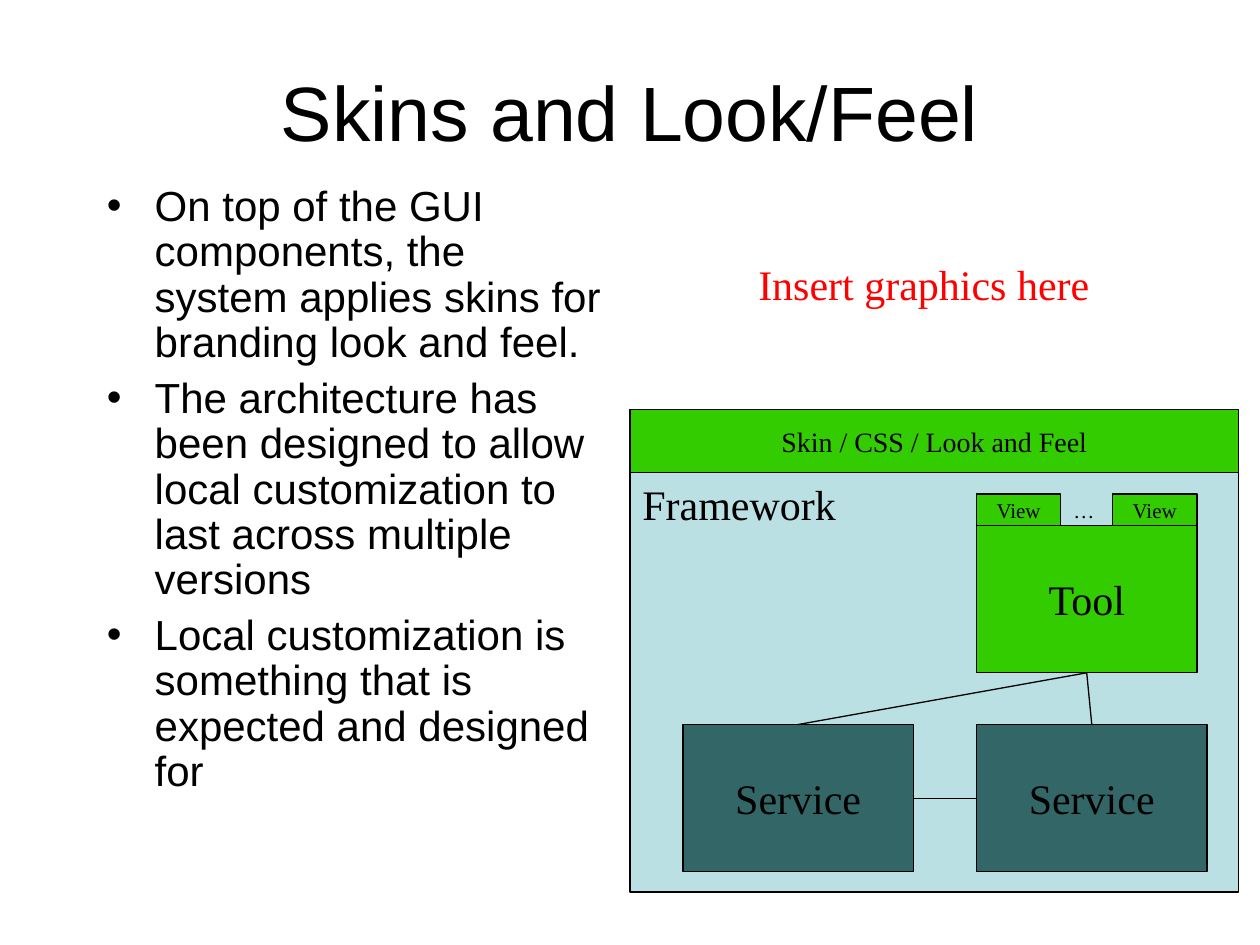
import pptx
import pptx.dml.color
import pptx.enum.shapes
import pptx.enum.text
import pptx.oxml
import pptx.oxml.ns
import pptx.util
from dataclasses import dataclass
from pptx.util import Inches


@dataclass(frozen=True)
class Theme:
    ink: str = "000000"
    note: str = "FF0000"
    framework: str = "BBE0E3"
    service: str = "336666"
    tool: str = "33CC00"
    sans: str = "Arial"
    serif: str = "Times New Roman"
    title: int = 44
    body: int = 24
    skin: int = 16
    small: int = 12
    line: float = 0.75


theme = Theme()
color = pptx.dml.color.RGBColor.from_string
align = pptx.enum.text.PP_ALIGN
anchor = pptx.enum.text.MSO_ANCHOR

deck = pptx.Presentation()
deck.slide_width, deck.slide_height = Inches(10), Inches(7.5)
page = deck.slides.add_slide(deck.slide_layouts[5])


def write(para, text, size, font=theme.serif, ink=theme.ink, alignment=align.CENTER):
    para.alignment = alignment
    span = para.add_run()
    span.text = text
    span.font.size = pptx.util.Pt(size)
    span.font.name = font
    span.font.color.rgb = color(ink)


def add_block(text, left, top, width, height, fill, size=theme.body,
              alignment=align.CENTER, vertical=anchor.MIDDLE):
    box = page.shapes.add_shape(
        pptx.enum.shapes.MSO_SHAPE.RECTANGLE,
        Inches(left), Inches(top), Inches(width), Inches(height))
    box.shadow.inherit = False
    box.fill.solid()
    box.fill.fore_color.rgb = color(fill)
    box.line.color.rgb = color(theme.ink)
    box.line.width = pptx.util.Pt(theme.line)
    box.text_frame.word_wrap = False
    box.text_frame.vertical_anchor = vertical
    write(box.text_frame.paragraphs[0], text, size, alignment=alignment)
    return box


# Title
title = page.shapes.title
title.left, title.top = Inches(0.75), Inches(0.25)
title.width, title.height = Inches(8.5), Inches(1.25)
title.text_frame.vertical_anchor = anchor.MIDDLE
write(title.text_frame.paragraphs[0], "Skins and Look/Feel", theme.title, theme.sans)

# Bulleted points
points = [
    "On top of the GUI components, the system applies skins for branding look and feel.",
    "The architecture has been designed to allow local customization to last across"
    " multiple versions",
    "Local customization is something that is expected and designed for",
]
body = page.shapes.add_textbox(Inches(0.75), Inches(1.42), Inches(4.17), Inches(5.25))
body.text_frame.word_wrap = True
for index, point in enumerate(points):
    para = body.text_frame.paragraphs[0] if index == 0 else body.text_frame.add_paragraph()
    properties = para._p.get_or_add_pPr()
    properties.set("marL", str(Inches(0.38)))
    properties.set("indent", str(-Inches(0.38)))
    properties.append(pptx.oxml.parse_xml(
        f'<a:buFont {pptx.oxml.ns.nsdecls("a")} typeface="{theme.sans}"/>'))
    properties.append(pptx.oxml.parse_xml(
        f'<a:buChar {pptx.oxml.ns.nsdecls("a")} char="•"/>'))
    para.line_spacing = 0.9
    para.space_before = pptx.util.Pt(6 if index else 0)
    write(para, point, theme.body, theme.sans, alignment=align.LEFT)

# Framework with its skin on top
add_block("Framework", 5, 3.75, 4.83, 3.33, theme.framework,
          alignment=align.LEFT, vertical=anchor.TOP)
add_block("Skin / CSS / Look and Feel", 5, 3.25, 4.83, 0.5, theme.tool, theme.skin)

# Services, tool and its views
services = [add_block("Service", left, 5.75, 1.83, 1.17, theme.service)
            for left in (5.42, 7.75)]
tool = add_block("Tool", 7.75, 4.17, 1.75, 1.17, theme.tool)
for left in (7.75, 8.83):
    add_block("View", left, 3.92, 0.67, 0.25, theme.tool, theme.small)
more = page.shapes.add_textbox(Inches(8.42), Inches(3.92), Inches(0.33), Inches(0.25))
more.text_frame.word_wrap = False
more.text_frame.vertical_anchor = anchor.MIDDLE
write(more.text_frame.paragraphs[0], "…", theme.small)

# Links between the tool and the services
links = [(tool, 2, services[0], 0), (tool, 2, services[1], 0),
         (services[0], 3, services[1], 1)]
for start, start_side, end, end_side in links:
    link = page.shapes.add_connector(pptx.enum.shapes.MSO_CONNECTOR.STRAIGHT, 0, 0, 0, 0)
    link.begin_connect(start, start_side)
    link.end_connect(end, end_side)
    link.line.color.rgb = color(theme.ink)
    link.line.width = pptx.util.Pt(theme.line)
    link._element.spPr.append(pptx.oxml.parse_xml(
        f'<a:effectLst {pptx.oxml.ns.nsdecls("a")}/>'))

# Red note
note = page.shapes.add_textbox(Inches(5.92), Inches(2), Inches(2.83), Inches(0.5))
note.text_frame.word_wrap = True
note.text_frame.auto_size = pptx.enum.text.MSO_AUTO_SIZE.SHAPE_TO_FIT_TEXT
write(note.text_frame.paragraphs[0], "Insert graphics here", theme.body,
      ink=theme.note, alignment=align.LEFT)

deck.save("out.pptx")
